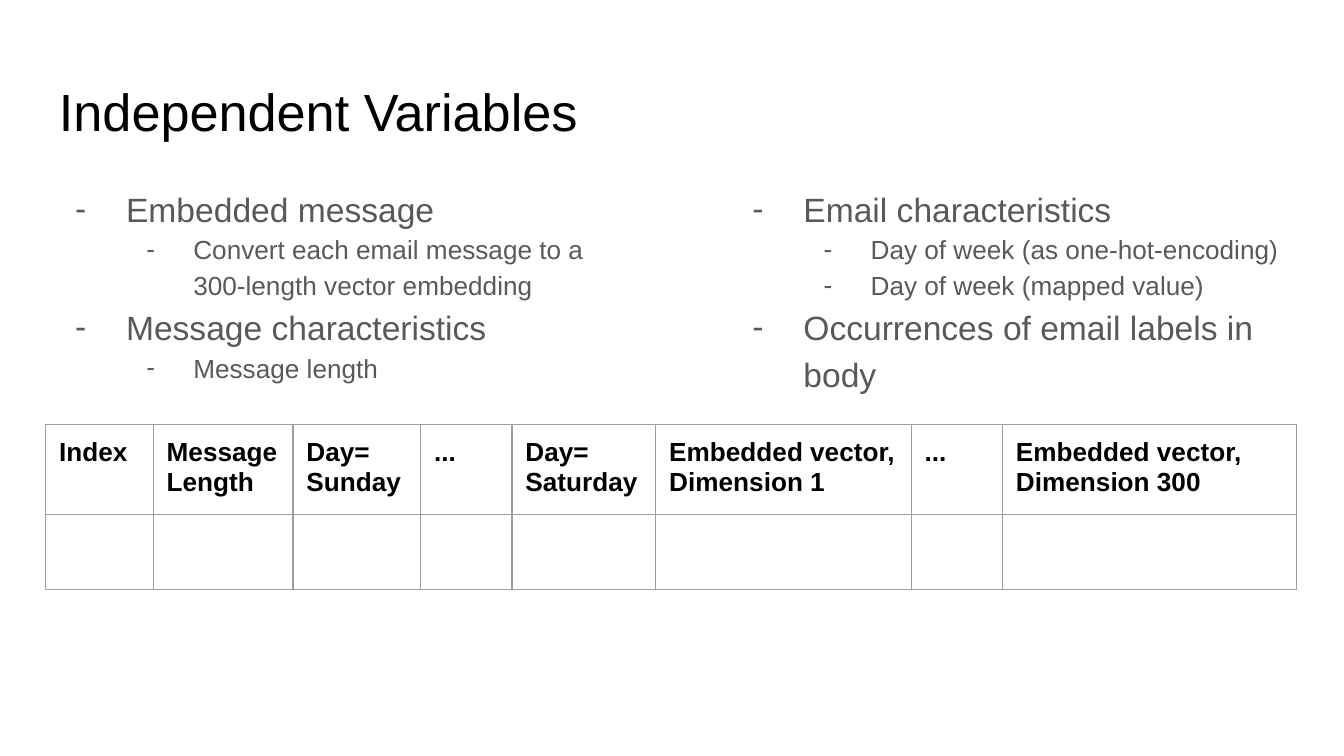
from dataclasses import dataclass
from typing import Any

import lxml.etree
import pptx
import pptx.dml.color
import pptx.oxml.ns
import pptx.util

Inches = pptx.util.Inches
COLORS = {"title": "000000", "body": "595959", "border": "9E9E9E"}
FONT = "Arial"
PAGE_WIDTH = Inches(10)
PAGE_HEIGHT = PAGE_WIDTH * 9 // 16
MARGIN = 0.34
BODY_TOP, BODY_WIDTH, BODY_HEIGHT = 1.26, 4.27, 3.74
TABLE_TOP, ROW_HEIGHT = 3.16, 0.56
INSETS = dict.fromkeys(
    ("margin_left", "margin_top", "margin_right", "margin_bottom"), Inches(0.1)
)


@dataclass(frozen=True)
class Bullet:
    text: str
    level: int = 0


@dataclass(frozen=True)
class BulletStyle:
    size: int
    indent: float
    hanging: float


@dataclass(frozen=True)
class BulletList:
    left: float
    bullets: tuple[Bullet, ...]


@dataclass(frozen=True)
class Column:
    heading: str
    width: float


BULLET_STYLES = (BulletStyle(18, 0.5, 0.38), BulletStyle(14, 1, 0.35))

BULLET_LISTS = (
    BulletList(MARGIN, (
        Bullet("Embedded message"),
        Bullet("Convert each email message to a 300-length vector embedding", 1),
        Bullet("Message characteristics"),
        Bullet("Message length", 1),
    )),
    BulletList(5.38, (
        Bullet("Email characteristics"),
        Bullet("Day of week (as one-hot-encoding)", 1),
        Bullet("Day of week (mapped value)", 1),
        Bullet("Occurrences of email labels in body"),
    )),
)

COLUMNS = (
    Column("Index", 0.8),
    Column("Message Length", 1.04),
    Column("Day= Sunday", 0.95),
    Column("...", 0.68),
    Column("Day= Saturday", 1.07),
    Column("Embedded vector, Dimension 1", 1.9),
    Column("...", 0.68),
    Column("Embedded vector, Dimension 300", 2.19),
)


def apply_format(target: Any, values: dict[str, Any]) -> None:
    for name, value in values.items():
        setattr(target, name, value)


def add_element(parent: Any, tag: str, **attributes: str) -> Any:
    return lxml.etree.SubElement(parent, pptx.oxml.ns.qn(tag), attributes)


def write_span(para: Any, text: str, size: int, color: str, bold: bool = False) -> None:
    span = para.add_run()
    span.text = text
    apply_format(span.font, {"name": FONT, "size": pptx.util.Pt(size), "bold": bold})
    span.font.color.rgb = pptx.dml.color.RGBColor.from_string(COLORS[color])


def add_text_frame(page: Any, left: float, top: float, width: float, height: float) -> Any:
    box = page.shapes.add_textbox(Inches(left), Inches(top), Inches(width), Inches(height))
    apply_format(box.text_frame, {"word_wrap": True, **INSETS})
    return box.text_frame


def format_bullet(para: Any, style: BulletStyle) -> None:
    para.line_spacing = 1.15
    properties = para._p.get_or_add_pPr()
    properties.set("marL", str(Inches(style.indent)))
    properties.set("indent", str(-Inches(style.hanging)))
    add_element(add_element(properties, "a:buClr"), "a:srgbClr", val=COLORS["body"])
    add_element(properties, "a:buFont", typeface=FONT)
    add_element(properties, "a:buChar", char="-")


def add_bullet_list(page: Any, content: BulletList) -> None:
    frame = add_text_frame(page, content.left, BODY_TOP, BODY_WIDTH, BODY_HEIGHT)
    for index, bullet in enumerate(content.bullets):
        para = frame.add_paragraph() if index else frame.paragraphs[0]
        para.level = bullet.level
        style = BULLET_STYLES[bullet.level]
        format_bullet(para, style)
        write_span(para, bullet.text, style.size, "body")


def format_cell(cell: Any) -> None:
    apply_format(cell, INSETS)
    properties = cell._tc.get_or_add_tcPr()
    for side in ("a:lnL", "a:lnR", "a:lnT", "a:lnB"):
        line = add_element(properties, side, w=str(pptx.util.Pt(0.75)))
        add_element(add_element(line, "a:solidFill"), "a:srgbClr", val=COLORS["border"])
    cell.fill.background()


def add_variable_table(page: Any) -> None:
    width = sum(column.width for column in COLUMNS)
    table = page.shapes.add_table(
        2, len(COLUMNS), Inches(MARGIN), Inches(TABLE_TOP), Inches(width), Inches(2 * ROW_HEIGHT)
    ).table
    apply_format(table, {"first_row": False, "horz_banding": False})
    for index, column in enumerate(COLUMNS):
        table.columns[index].width = Inches(column.width)
        write_span(table.cell(0, index).text_frame.paragraphs[0], column.heading, 14, "title", True)
    for cell in table.iter_cells():
        format_cell(cell)


def main() -> None:
    deck = pptx.Presentation()
    apply_format(deck, {"slide_width": PAGE_WIDTH, "slide_height": PAGE_HEIGHT})
    page = deck.slides.add_slide(deck.slide_layouts[6])
    title = add_text_frame(page, MARGIN, 0.49, 9.32, 0.63)
    write_span(title.paragraphs[0], "Independent Variables", 28, "title")
    for content in BULLET_LISTS:
        add_bullet_list(page, content)
    add_variable_table(page)
    deck.save("out.pptx")


if __name__ == "__main__":
    main()
